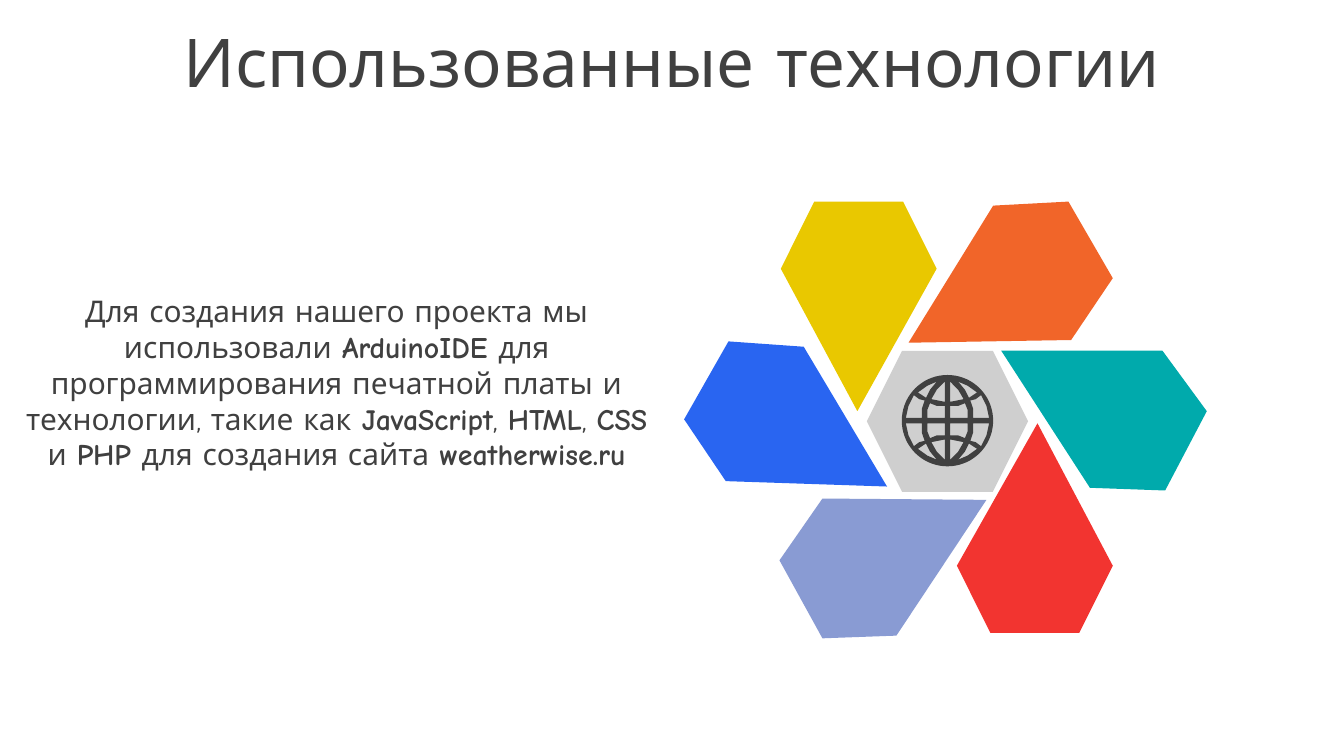
"""Build the slide about the technologies used in the project."""
import math

import pptx
import pptx.dml.color
import pptx.enum.shapes
import pptx.enum.text
import pptx.util
from pptx.util import Inches

FONT = "Comic Neue"
COLORS = {
    "ink": "404040", "hub": "CFCFCF", "yellow": "E9C800", "orange": "F16529",
    "teal": "00AAAC", "red": "F23430", "lilac": "899BD3", "blue": "2965F1",
}
TITLE = [("Использованные технологии", False)]
DESCRIPTION = [
    ("Для создания нашего проекта мы использовали ", False),
    ("ArduinoIDE ", True),
    ("для программирования печатной платы и технологии, такие как ", False),
    ("JavaScript", True), (", ", False), ("HTML", True), (", ", False),
    ("CSS ", True), ("и ", False), ("PHP ", True),
    ("для создания сайта ", False), ("weatherwise.ru", True),
]
PETALS = {
    "yellow": [(6.06, 1.5), (6.72, 1.5), (6.97, 2), (6.38, 3.06), (5.81, 2)],
    "orange": [(7.95, 1.5), (8.28, 2.07), (7.97, 2.53), (6.76, 2.55), (7.39, 1.53)],
    "teal": [(8.98, 3.06), (8.67, 3.65), (8.11, 3.63), (7.45, 2.61), (8.65, 2.61)],
    "red": [(8.03, 4.71), (7.37, 4.71), (7.12, 4.21), (7.72, 3.15), (8.28, 4.21)],
    "lilac": [(6.12, 4.75), (5.8, 4.17), (6.12, 3.71), (7.34, 3.72), (6.67, 4.73)],
    "blue": [(5.09, 3.12), (5.42, 2.54), (5.98, 2.58), (6.6, 3.62), (5.4, 3.58)],
}
GLOBE_X, GLOBE_Y, GLOBE_RADIUS = 7.05, 3.13, 0.34
RIM_STEPS = 72
QUADRANT_GAPS = [
    [(0.02, 0.02), (0.02, 0.11), (0.08, 0.11), (0.13, 0.13), (0.15, 0.08), (0.15, 0.02)],
    [(0.19, 0.02), (0.19, 0.09), (0.17, 0.15), (0.21, 0.16), (0.25, 0.19),
     (0.29, 0.11), (0.31, 0.02)],
    [(0.02, 0.14), (0.02, 0.29), (0.08, 0.23), (0.12, 0.16), (0.07, 0.15)],
    [(0.16, 0.17), (0.13, 0.23), (0.08, 0.29), (0.15, 0.26), (0.22, 0.21)],
]


def rgb(name):
    return pptx.dml.color.RGBColor.from_string(COLORS[name])


def add_text(slide, box, pieces, size, anchor):
    frame = slide.shapes.add_textbox(*map(Inches, box)).text_frame
    frame.word_wrap = True
    frame.vertical_anchor = anchor
    paragraph = frame.paragraphs[0]
    paragraph.alignment = pptx.enum.text.PP_ALIGN.CENTER
    for words, bold in pieces:
        run = paragraph.add_run()
        run.text = words
        run.font.name = FONT
        run.font.size = pptx.util.Pt(size)
        run.font.bold = bold
        run.font.color.rgb = rgb("ink")


def paint(shape, color):
    shape.shadow.inherit = False
    shape.fill.solid()
    shape.fill.fore_color.rgb = rgb(color)
    shape.line.fill.background()


def add_outline(slide, contours, color):
    scaled = [[(Inches(x), Inches(y)) for x, y in contour] for contour in contours]
    builder = slide.shapes.build_freeform(*scaled[0][0])
    builder.add_line_segments(scaled[0][1:], close=True)
    for contour in scaled[1:]:
        builder.move_to(*contour[0])
        builder.add_line_segments(contour[1:], close=True)
    paint(builder.convert_to_shape(), color)


def globe_contours():
    angles = [2 * math.pi * step / RIM_STEPS for step in range(RIM_STEPS)]
    rim = [(GLOBE_X + GLOBE_RADIUS * math.cos(angle),
            GLOBE_Y + GLOBE_RADIUS * math.sin(angle)) for angle in angles]
    gaps = [[(GLOBE_X + side * dx, GLOBE_Y + pole * dy) for dx, dy in gap]
            for side in (-1, 1) for pole in (-1, 1) for gap in QUADRANT_GAPS]
    return [rim] + gaps


def add_hub(slide):
    hub = slide.shapes.add_shape(
        pptx.enum.shapes.MSO_SHAPE.HEXAGON, *map(Inches, (6.45, 2.61, 1.2, 1.05)))
    paint(hub, "hub")


def main():
    deck = pptx.Presentation()
    deck.slide_width = Inches(10)
    deck.slide_height = Inches(10 * 9 / 16)
    slide = deck.slides.add_slide(deck.slide_layouts[6])
    anchors = pptx.enum.text.MSO_ANCHOR
    add_text(slide, (0, 0.14, 10, 0.63), TITLE, 36, anchors.MIDDLE)
    for color, corners in PETALS.items():
        add_outline(slide, [corners], color)
        if color == "yellow":
            add_hub(slide)
    add_outline(slide, globe_contours(), "ink")
    add_text(slide, (0.06, 2.13, 4.89, 1.74), DESCRIPTION, 16, anchors.TOP)
    deck.save("out.pptx")


if __name__ == "__main__":
    main()
